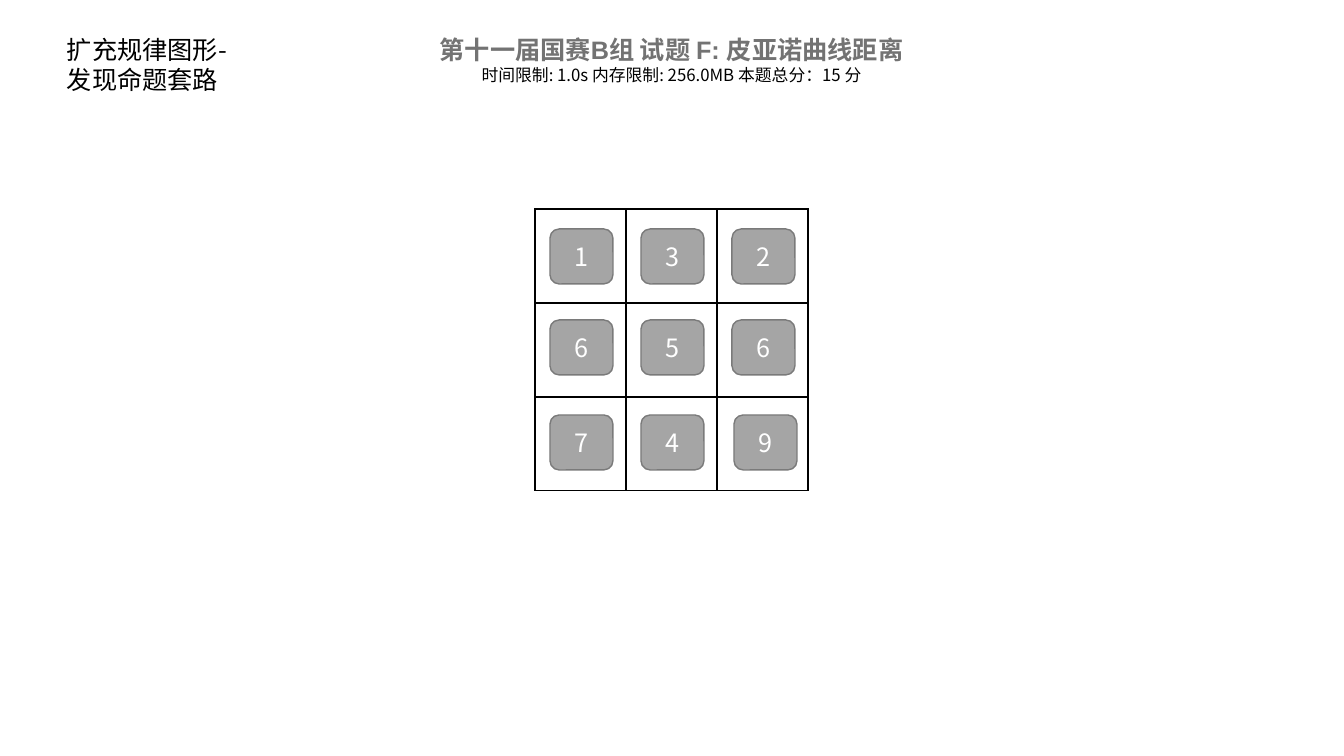
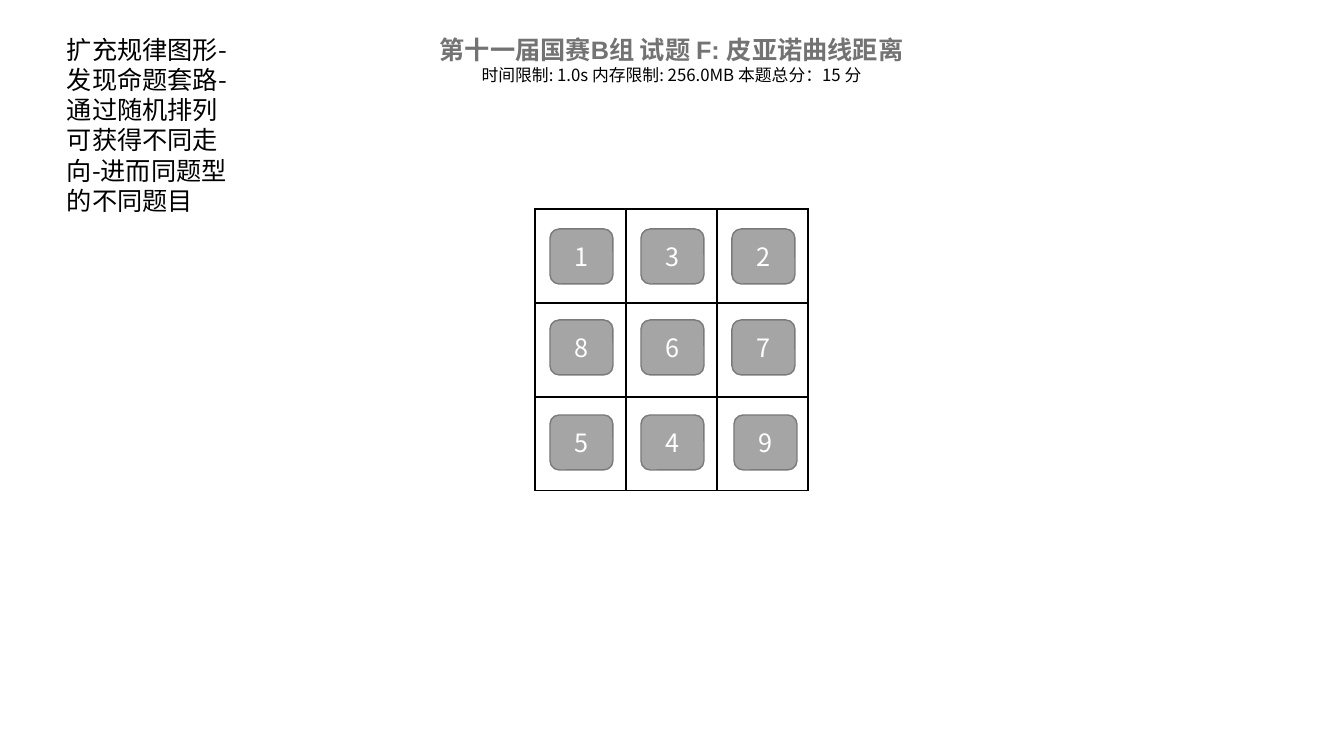
from itertools import product

from lxml import etree
from pptx import Presentation
from pptx import util as u
from pptx.dml.color import RGBColor
from pptx.enum import shapes, text
from pptx.oxml.ns import qn

COLORS = {
    "title": "737373",
    "text": "000000",
    "tile": "A5A5A5",
    "tile_line": "7A7A7A",
    "tile_text": "FFFFFF",
    "border": "000000",
}
HEADING_FONT = "Arial"
BODY_FONT = "Noto Sans CJK SC"

TITLE = "第十一届国赛B组 试题 F: 皮亚诺曲线距离"
LIMITS = "时间限制: 1.0s 内存限制: 256.0MB 本题总分：15 分"
SLIDES = [
    {
        "notes": ["扩充规律图形-", "发现命题套路"],
        "notes_height": 72,
        "numbers": ["132", "656", "749"],
    },
    {
        "notes": ["扩充规律图形-", "发现命题套路-", "通过随机排列可获得不同走向-进而同题型的不同题目"],
        "notes_height": 194,
        "numbers": ["132", "867", "549"],
    },
]

SIZE = 3
GRID_LEFT, GRID_TOP = 535, 209
CELL_WIDTH, CELL_HEIGHT = 91, 94
TILE_LEFT, TILE_PITCH = 550, 91
TILE_TOPS = (229, 320, 415)
TILE_WIDTH, TILE_HEIGHT = 63, 55
TILE_NUDGES = {(2, 2): 2}


def px(value):
    return u.Emu(round(value * 914400 / 100.8))


def color(name):
    return RGBColor.from_string(COLORS[name])


def style(paragraph, size, color_name, align, font=BODY_FONT, bold=False):
    paragraph.alignment = align
    for run in paragraph.runs:
        run.font.size = u.Pt(size)
        run.font.bold = bold
        run.font.color.rgb = color(color_name)
        run.font.name = font
        properties = run.font._element
        etree.SubElement(properties, qn("a:ea"), typeface=BODY_FONT)


def prepare_text_box(shape, lines):
    frame = shape.text_frame
    frame.text = "\n".join(lines)
    frame.word_wrap = True
    frame.auto_size = text.MSO_AUTO_SIZE.SHAPE_TO_FIT_TEXT
    frame.vertical_anchor = text.MSO_ANCHOR.TOP
    return frame.paragraphs


def add_title(slide):
    shape = slide.shapes.title
    shape.left, shape.top, shape.width, shape.height = map(px, (424, 29, 495, 62))
    heading, limits = prepare_text_box(shape, [TITLE, LIMITS])
    style(heading, 18, "title", text.PP_ALIGN.CENTER, HEADING_FONT, True)
    style(limits, 12, "text", text.PP_ALIGN.CENTER)


def add_notes(slide, lines, height):
    shape = slide.shapes.add_textbox(*map(px, (57, 29, 192, height)))
    for paragraph in prepare_text_box(shape, lines):
        style(paragraph, 18, "text", text.PP_ALIGN.LEFT)


def add_borders(cell):
    properties = cell._tc.get_or_add_tcPr()
    for side in ("lnL", "lnR", "lnT", "lnB"):
        line = etree.SubElement(properties, qn(f"a:{side}"), w=str(u.Pt(1)))
        fill = etree.SubElement(line, qn("a:solidFill"))
        etree.SubElement(fill, qn("a:srgbClr"), val=COLORS["border"])


def add_grid(slide):
    bounds = (GRID_LEFT, GRID_TOP, SIZE * CELL_WIDTH, SIZE * CELL_HEIGHT)
    table = slide.shapes.add_table(SIZE, SIZE, *map(px, bounds)).table
    table.first_row = table.horz_banding = False
    for cell in table.iter_cells():
        add_borders(cell)
        cell.fill.background()


def add_tiles(slide, numbers):
    for row, column in product(range(SIZE), repeat=2):
        left = TILE_LEFT + column * TILE_PITCH + TILE_NUDGES.get((row, column), 0)
        bounds = (left, TILE_TOPS[row], TILE_WIDTH, TILE_HEIGHT)
        tile = slide.shapes.add_shape(
            shapes.MSO_SHAPE.ROUNDED_RECTANGLE, *map(px, bounds)
        )
        tile.shadow.inherit = False
        tile.fill.solid()
        tile.fill.fore_color.rgb = color("tile")
        tile.line.color.rgb = color("tile_line")
        tile.line.width = u.Pt(1)
        frame = tile.text_frame
        frame.text = numbers[row][column]
        frame.vertical_anchor = text.MSO_ANCHOR.MIDDLE
        style(frame.paragraphs[0], 18, "tile_text", text.PP_ALIGN.CENTER)


def main():
    presentation = Presentation()
    presentation.slide_width, presentation.slide_height = px(1344), px(756)
    title_only = presentation.slide_layouts[5]
    for content in SLIDES:
        slide = presentation.slides.add_slide(title_only)
        add_title(slide)
        add_grid(slide)
        add_tiles(slide, content["numbers"])
        add_notes(slide, content["notes"], content["notes_height"])
    presentation.save("out.pptx")


if __name__ == "__main__":
    main()
